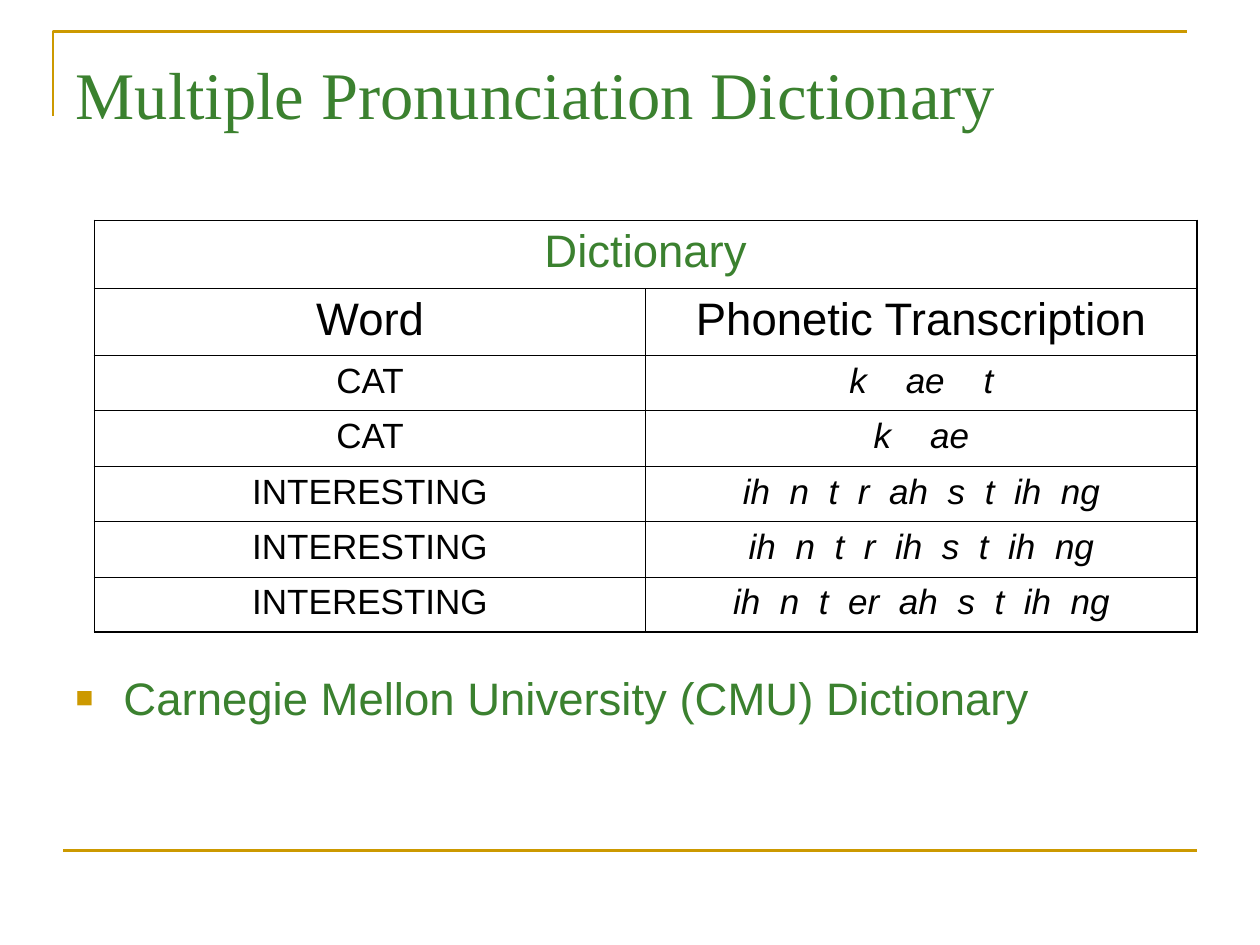
from lxml import etree
from pptx import Presentation
from pptx import util as u
from pptx.dml.color import RGBColor
from pptx.enum import shapes, text
from pptx.oxml import ns

GREEN, GOLD, BLACK = "3B812F", "CC9900", "000000"
SANS, SERIF = "Arial", "Times New Roman"
WORDS = [
    ("CAT", "k ae t", 16.7),
    ("CAT", "k ae", 16.7),
    ("INTERESTING", "ih n t r ah s t ih ng", 5.6),
    ("INTERESTING", "ih n t r ih s t ih ng", 5.6),
    ("INTERESTING", "ih n t er ah s t ih ng", 5.6),
]


def paint(color, tint):
    color.rgb = RGBColor.from_string(tint)


def add(parent, tag, **attrs):
    return etree.SubElement(parent, ns.qn(tag), attrs)


def style(font, size, tint, face=SANS, slant=False):
    font.size, font.name, font.italic = u.Pt(size), face, slant
    paint(font.color, tint)


def place(shape, box):
    shape.left, shape.top, shape.width, shape.height = map(u.Inches, box)


def stroke(shape):
    paint(shape.line.color, GOLD)
    shape.line.width = u.Pt(1.5)


def draw_frame(slide, box):
    left, top, width, height = map(u.Inches, box)
    pen = slide.shapes.build_freeform(left, top + height)
    pen.add_line_segments([(left, top), (left + width, top)], close=False)
    frame = pen.convert_to_shape()
    frame.fill.background()
    frame.shadow.inherit = False
    stroke(frame)


def draw_rule(slide, left, top, width):
    rule = slide.shapes.add_connector(
        shapes.MSO_CONNECTOR.STRAIGHT, u.Inches(left), u.Inches(top),
        u.Inches(left + width), u.Inches(top))
    stroke(rule)
    add(rule._element.spPr, "a:effectLst")


def fill_text(shape, box, words, size, face, inset):
    place(shape, box)
    frame = shape.text_frame
    frame.text = words
    frame.word_wrap = True
    frame.auto_size = text.MSO_AUTO_SIZE.NONE
    frame.vertical_anchor = text.MSO_ANCHOR.TOP
    frame.margin_top = u.Inches(inset)
    para = frame.paragraphs[0]
    para.alignment = text.PP_ALIGN.LEFT
    para.space_before = u.Pt(0)
    style(para.runs[0].font, size, GREEN, face)
    return para


def fill_title(slide, box):
    fill_text(slide.shapes.title, box, "Multiple Pronunciation Dictionary",
              38, SERIF, 0.12)


def fill_list(slide, box):
    para = fill_text(slide.placeholders[1], box,
                     "Carnegie Mellon University (CMU) Dictionary",
                     26, SANS, 0.07)
    props = para._p.get_or_add_pPr()
    indent = u.Inches(0.38)
    props.set("marL", str(indent))
    props.set("indent", str(-indent))
    add(add(props, "a:buClr"), "a:srgbClr", val=GOLD)
    add(props, "a:buSzPct", val="65000")
    add(props, "a:buFont", typeface=SANS)
    add(props, "a:buChar", char="■")


def edge_cell(cell, outer):
    props = cell._tc.get_or_add_tcPr()
    for side in "LRTB":
        width = u.Pt(1.08 if side in outer else 0.45)
        line = add(props, "a:ln" + side, w=str(width))
        add(add(line, "a:solidFill"), "a:srgbClr", val=BLACK)
    cell.fill.background()


def fill_cell(cell, words, size, tint=BLACK):
    para = cell.text_frame.paragraphs[0]
    para.text = words
    para.alignment = text.PP_ALIGN.CENTER
    style(para.runs[0].font, size, tint)


def fill_phones(cell, phones, gap):
    para = cell.text_frame.paragraphs[0]
    para.alignment = text.PP_ALIGN.CENTER
    for part in phones.replace(" ", "| |").split("|"):
        run = para.add_run()
        run.text = part
        style(run.font, 20, BLACK, slant=True)
        if part == " ":
            run._r.get_or_add_rPr().set("spc", str(round(gap * 100)))


def draw_table(slide, box):
    rows = len(WORDS) + 2
    table = slide.shapes.add_table(rows, 2, *map(u.Inches, box)).table
    table.first_row = table.horz_banding = False
    for row, high in zip(table.rows, [0.54, 0.53] + [0.44] * len(WORDS)):
        row.height = u.Inches(high)
    for r in range(rows):
        for c in range(2):
            outer = "LR"[c] + "T" * (r == 0) + "B" * (r == rows - 1)
            edge_cell(table.cell(r, c), "LRT" if r == 0 else outer)
    table.cell(0, 0).merge(table.cell(0, 1))
    fill_cell(table.cell(0, 0), "Dictionary", 26, GREEN)
    fill_cell(table.cell(1, 0), "Word", 26)
    fill_cell(table.cell(1, 1), "Phonetic Transcription", 26)
    for r, (word, phones, gap) in enumerate(WORDS, 2):
        fill_cell(table.cell(r, 0), word, 20)
        fill_phones(table.cell(r, 1), phones, gap)


def main():
    deck = Presentation()
    deck.slide_width, deck.slide_height = u.Inches(10), u.Inches(7.5)
    slide = deck.slides.add_slide(deck.slide_layouts[1])
    draw_frame(slide, (0.42, 0.25, 9, 0.67))
    draw_rule(slide, 0.5, 6.75, 9)
    fill_title(slide, (0.5, 0.3, 9, 1.25))
    draw_table(slide, (0.75, 1.75, 8.75, 3.23))
    fill_list(slide, (0.5, 5.25, 9, 1.46))
    deck.save("out.pptx")


if __name__ == "__main__":
    main()
